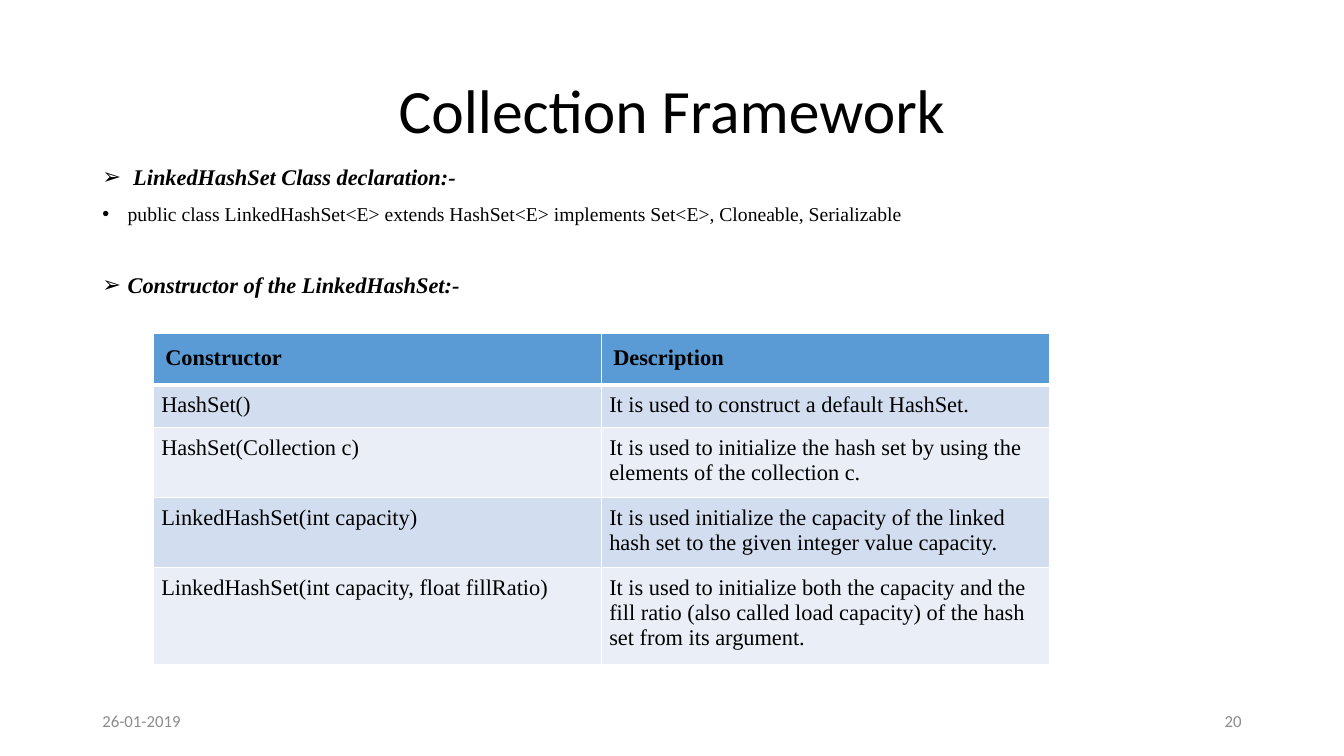
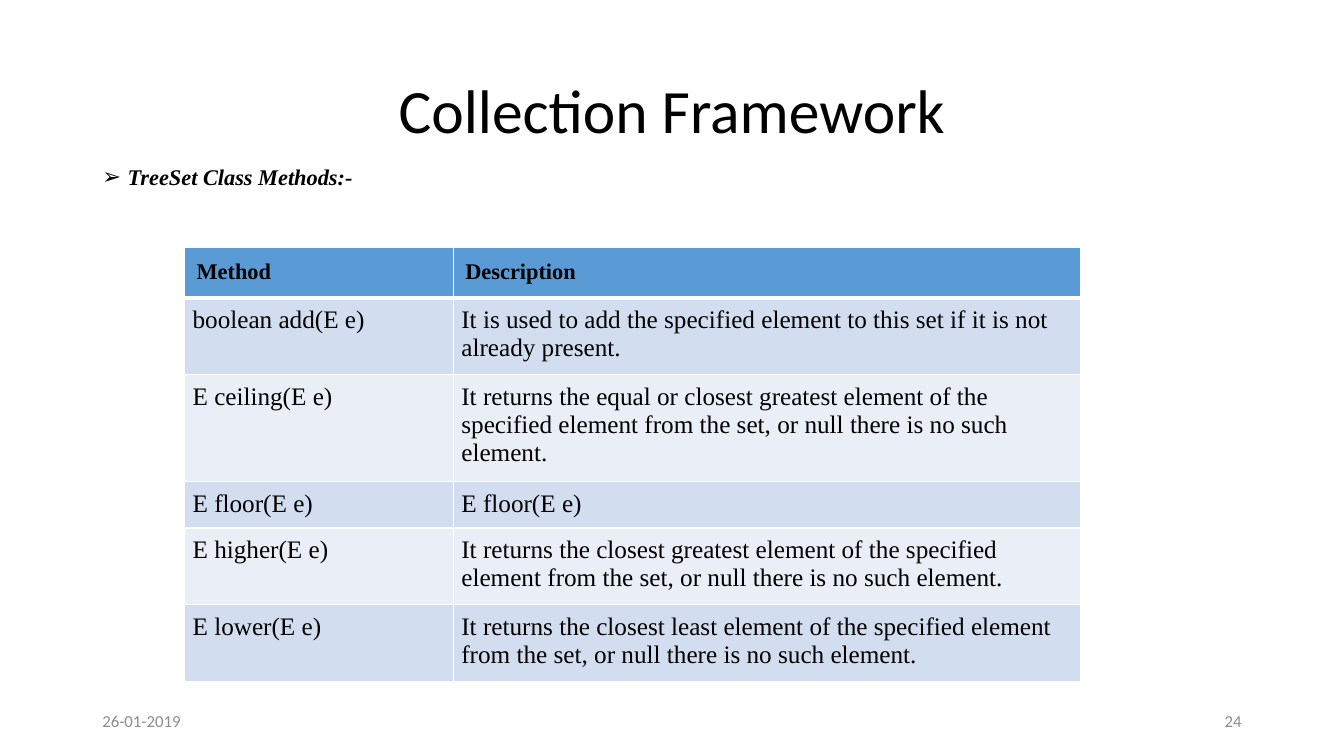
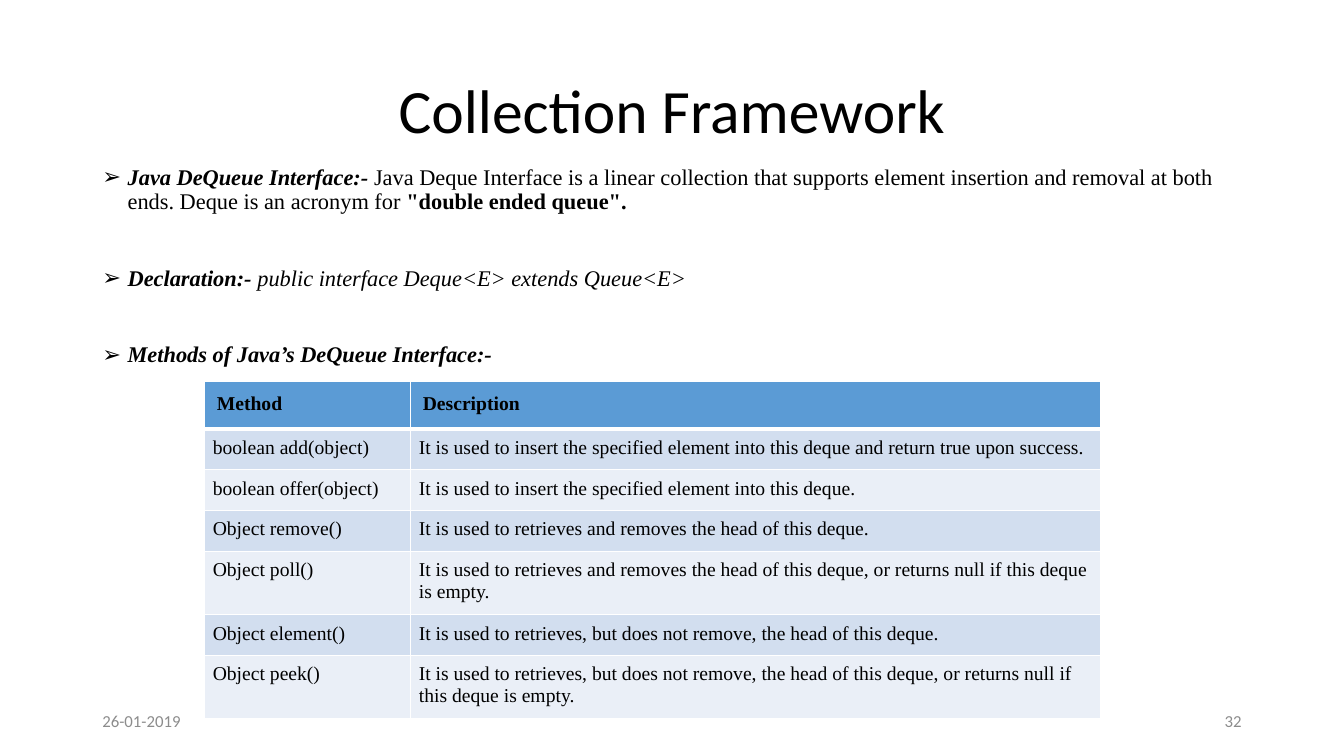
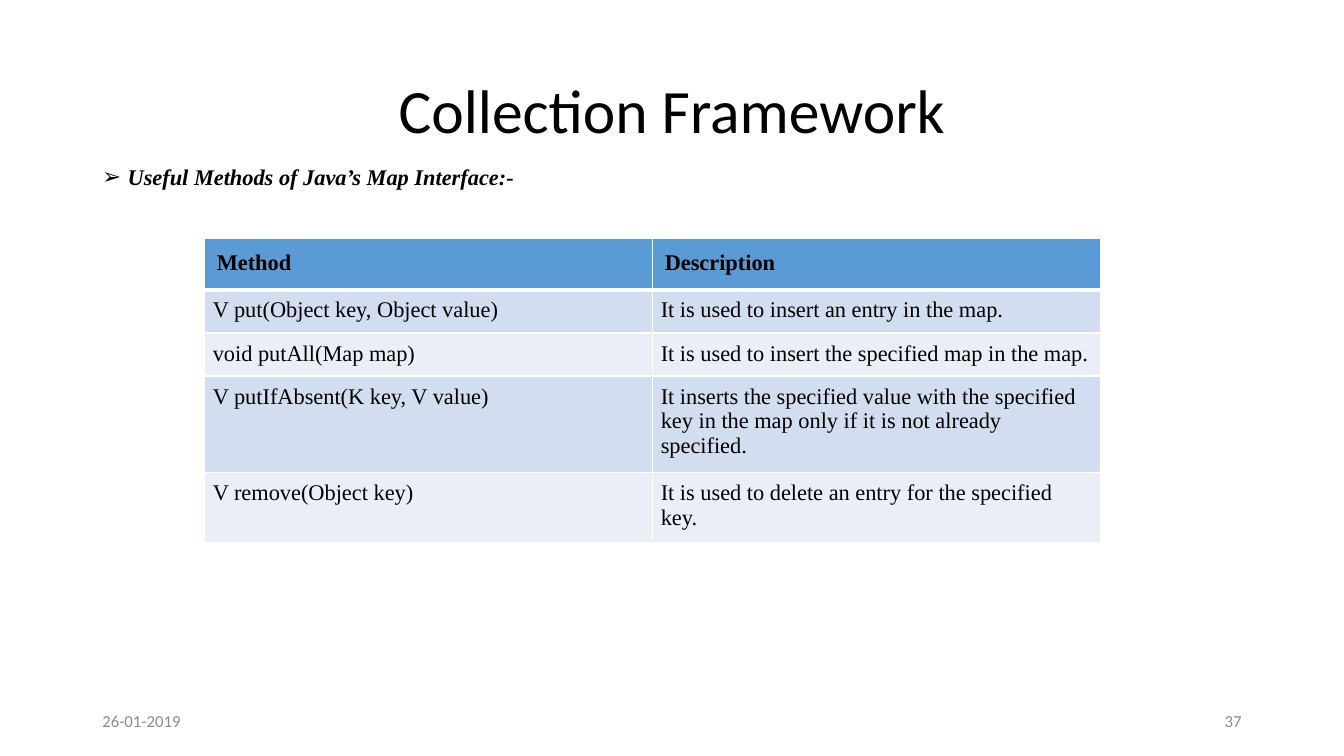
import lxml.etree
import pptx
import pptx.dml.color
import pptx.enum.text
import pptx.oxml.ns
import pptx.util

RGB = pptx.dml.color.RGBColor
ALIGN = pptx.enum.text.PP_ALIGN
ANCHOR = pptx.enum.text.MSO_ANCHOR
Pt = pptx.util.Pt

BLACK = RGB(0x00, 0x00, 0x00)
WHITE = RGB(0xFF, 0xFF, 0xFF)
GREY = RGB(0x8C, 0x8C, 0x8C)
BLUE = RGB(0x5B, 0x9B, 0xD5)
BANDS = (RGB(0xD2, 0xDE, 0xEF), RGB(0xEA, 0xEF, 0xF7))

SANS = "Calibri"
SERIF = "Times New Roman"
ARROW = "\u27a2"
DOT = "\u2022"

WIDE = pptx.util.Inches(13.33)
HIGH = pptx.util.Inches(7.5)

# Shares of the slide, in percent
LEFT, SPAN = 6.88, 86.25
FOOT_TOP, FOOT_SPAN, FOOT_HIGH = 92.67, 22.5, 5.33
GRID_SPAN, ROW_HIGH = 66.67, 5.41
HEAD_PAD, CELL_PAD = 0.9, 0.6


def across(share):
    """Turn a percentage of the slide's width into a length."""
    return round(WIDE * share / 100)


def down(share):
    """Turn a percentage of the slide's height into a length."""
    return round(HIGH * share / 100)


def style(font, face, size, color, bold=False):
    """Set the look of a font."""
    font.name = face
    font.size = Pt(size)
    font.color.rgb = color
    font.bold = bold


def add_box(slide, left, top, width, height, anchor=ANCHOR.MIDDLE):
    """Add a wrapping text box and return its frame."""
    box = slide.shapes.add_textbox(
        across(left), down(top), across(width), down(height))
    frame = box.text_frame
    frame.word_wrap = True
    frame.vertical_anchor = anchor
    return frame


def add_line(frame, text, size, color, align):
    """Fill a frame with one line of sans text."""
    para = frame.paragraphs[0]
    para.text = text
    para.alignment = align
    style(para.font, SANS, size, color)
    return para


def add_frame(slide, number):
    """Add the title, the date and the page number."""
    title = add_box(slide, LEFT, 5.33, SPAN, 19.33)
    para = add_line(title, "Collection Framework", 44, BLACK, ALIGN.CENTER)
    para.line_spacing = 0.9
    right = LEFT + SPAN - FOOT_SPAN
    for left, text, align in ((LEFT, "26-01-2019", ALIGN.LEFT),
                              (right, str(number), ALIGN.RIGHT)):
        foot = add_box(slide, left, FOOT_TOP, FOOT_SPAN, FOOT_HIGH)
        add_line(foot, text, 12, GREY, align)


def set_mark(para, mark):
    """Give a paragraph a hanging bullet."""
    props = para._p.get_or_add_pPr()
    hang = across(1.88)
    props.set("marL", str(hang))
    props.set("indent", str(-hang))
    qn = pptx.oxml.ns.qn
    lxml.etree.SubElement(props, qn("a:buFont")).set("typeface", "Arial")
    lxml.etree.SubElement(props, qn("a:buChar")).set("char", mark)


def add_points(slide, points):
    """Add bullets given as (mark, size, space before, runs)."""
    frame = add_box(slide, LEFT, 21.33, SPAN, 72, ANCHOR.TOP)
    for index, (mark, size, space, runs) in enumerate(points):
        para = frame.add_paragraph() if index else frame.paragraphs[0]
        para.line_spacing = 0.9
        para.space_before = Pt(space)
        set_mark(para, mark)
        style(para.font, SERIF, size, BLACK)
        for text, bold, slant in runs:
            run = para.add_run()
            run.text = text
            run.font.bold = bold
            run.font.italic = slant


def heading(text, space=10, *more):
    """Describe an arrow point that opens in bold italics."""
    return ARROW, 16, space, [(text, True, True), *more]


def add_edge(cell, side, width):
    """Append a white border to a cell that has no fill yet."""
    qn = pptx.oxml.ns.qn
    props = cell._tc.get_or_add_tcPr()
    line = lxml.etree.SubElement(props, qn("a:ln" + side))
    line.set("w", str(Pt(width)))
    fill = lxml.etree.SubElement(line, qn("a:solidFill"))
    lxml.etree.SubElement(fill, qn("a:srgbClr")).set("val", str(WHITE))


def fill_cell(cell, text, row, size):
    """Write and colour one cell of the given row."""
    head = row == 0
    pad = across(HEAD_PAD if head else CELL_PAD)
    cell.margin_left = cell.margin_right = pad
    cell.margin_top = cell.margin_bottom = pad
    edges = {"L": 1, "R": 1, "T": 3 if row == 1 else 1, "B": 3 if head else 1}
    for side, width in edges.items():
        add_edge(cell, side, width)
    cell.fill.solid()
    cell.fill.fore_color.rgb = BLUE if head else BANDS[(row - 1) % 2]
    para = cell.text_frame.paragraphs[0]
    para.text = text
    style(para.font, SERIF, size, BLACK, head)


def add_grid(slide, left, top, first, rows, size=16, head_size=16):
    """Add a two-column table; first is the first column's share."""
    shape = slide.shapes.add_table(
        len(rows), 2, across(left), down(top),
        across(GRID_SPAN), down(ROW_HIGH * len(rows)))
    table = shape.table
    table.horz_banding = False
    for col, share in zip(table.columns, (first, 1 - first)):
        col.width = across(GRID_SPAN * share)
    for row, texts in enumerate(rows):
        for col, text in enumerate(texts):
            fill_cell(table.cell(row, col), text, row,
                      size if row else head_size)


def linked_set(slide):
    """Show the declaration and constructors of LinkedHashSet."""
    code = ("public class LinkedHashSet<E> extends HashSet<E> "
            "implements Set<E>, Cloneable, Serializable")
    add_points(slide, [
        heading(" LinkedHashSet Class declaration:-"),
        (DOT, 14, 10, [(code, False, False)]),
        heading("Constructor of the LinkedHashSet:-", 35),
    ])
    add_grid(slide, 11.4, 44.13, 0.5, [
        ("Constructor", "Description"),
        ("HashSet()", "It is used to construct a default HashSet."),
        ("HashSet(Collection c)",
         "It is used to initialize the hash set by using the elements of "
         "the collection c."),
        ("LinkedHashSet(int capacity)",
         "It is used initialize the capacity of the linked hash set to the "
         "given integer value capacity."),
        ("LinkedHashSet(int capacity, float fillRatio)",
         "It is used to initialize both the capacity and the fill ratio "
         "(also called load capacity) of the hash set from its argument."),
    ])


def tree_set(slide):
    """Show the methods of TreeSet."""
    add_points(slide, [heading("TreeSet Class Methods:-")])
    add_grid(slide, 13.73, 32.67, 0.3, [
        ("Method", "Description"),
        ("boolean add(E e)",
         "It is used to add the specified element to this set if it is not "
         "already present."),
        ("E ceiling(E e)",
         "It returns the equal or closest greatest element of the specified "
         "element from the set, or null there is no such element."),
        ("E floor(E e)", "E floor(E e)"),
        ("E higher(E e)",
         "It returns the closest greatest element of the specified element "
         "from the set, or null there is no such element."),
        ("E lower(E e)",
         "It returns the closest least element of the specified element "
         "from the set, or null there is no such element."),
    ], size=18)


def deque(slide):
    """Show the declaration and methods of Deque."""
    about = ("Java Deque Interface is a linear collection that supports "
             "element insertion and removal at both ends. "
             "Deque is an acronym for\u00a0")
    add_points(slide, [
        heading("Java DeQueue Interface:- ", 10, (about, False, False),
                ('"double ended queue".', True, False)),
        heading("Declaration:- ", 37.5,
                ("public interface Deque<E> extends Queue<E>", False, True)),
        heading("Methods of Java\u2019s DeQueue Interface:-", 37.5),
    ])
    add_grid(slide, 15.23, 50.4, 0.23, [
        ("Method", "Description"),
        ("boolean add(object)",
         "It is used to insert the specified element into this deque and "
         "return true upon success."),
        ("boolean offer(object)",
         "It is used to insert the specified element into this deque."),
        ("Object remove()",
         "It is used to retrieves and removes the head of this deque."),
        ("Object poll()",
         "It is used to retrieves and removes the head of this deque, or "
         "returns null if this deque is empty."),
        ("Object element()",
         "It is used to retrieves, but does not remove, the head of this "
         "deque."),
        ("Object peek()",
         "It is used to retrieves, but does not remove, the head of this "
         "deque, or returns null if this deque is empty."),
    ], size=14, head_size=14)


def map_face(slide):
    """Show the methods of Map."""
    add_points(slide, [heading("Useful Methods of Java\u2019s Map Interface:-")])
    add_grid(slide, 15.23, 31.6, 0.5, [
        ("Method", "Description"),
        ("V put(Object key, Object value)",
         "It is used to insert an entry in the map."),
        ("void putAll(Map map)",
         "It is used to insert the specified map in the map."),
        ("V putIfAbsent(K key, V value)",
         "It inserts the specified value with the specified key in the map "
         "only if it is not already specified."),
        ("V remove(Object key)",
         "It is used to delete an entry for the specified key."),
    ])


def main():
    """Build and save the slides."""
    deck = pptx.Presentation()
    deck.slide_width = WIDE
    deck.slide_height = HIGH
    pages = ((20, linked_set), (24, tree_set), (32, deque), (37, map_face))
    for number, build in pages:
        slide = deck.slides.add_slide(deck.slide_layouts[6])
        add_frame(slide, number)
        build(slide)
    deck.save("out.pptx")


main()
